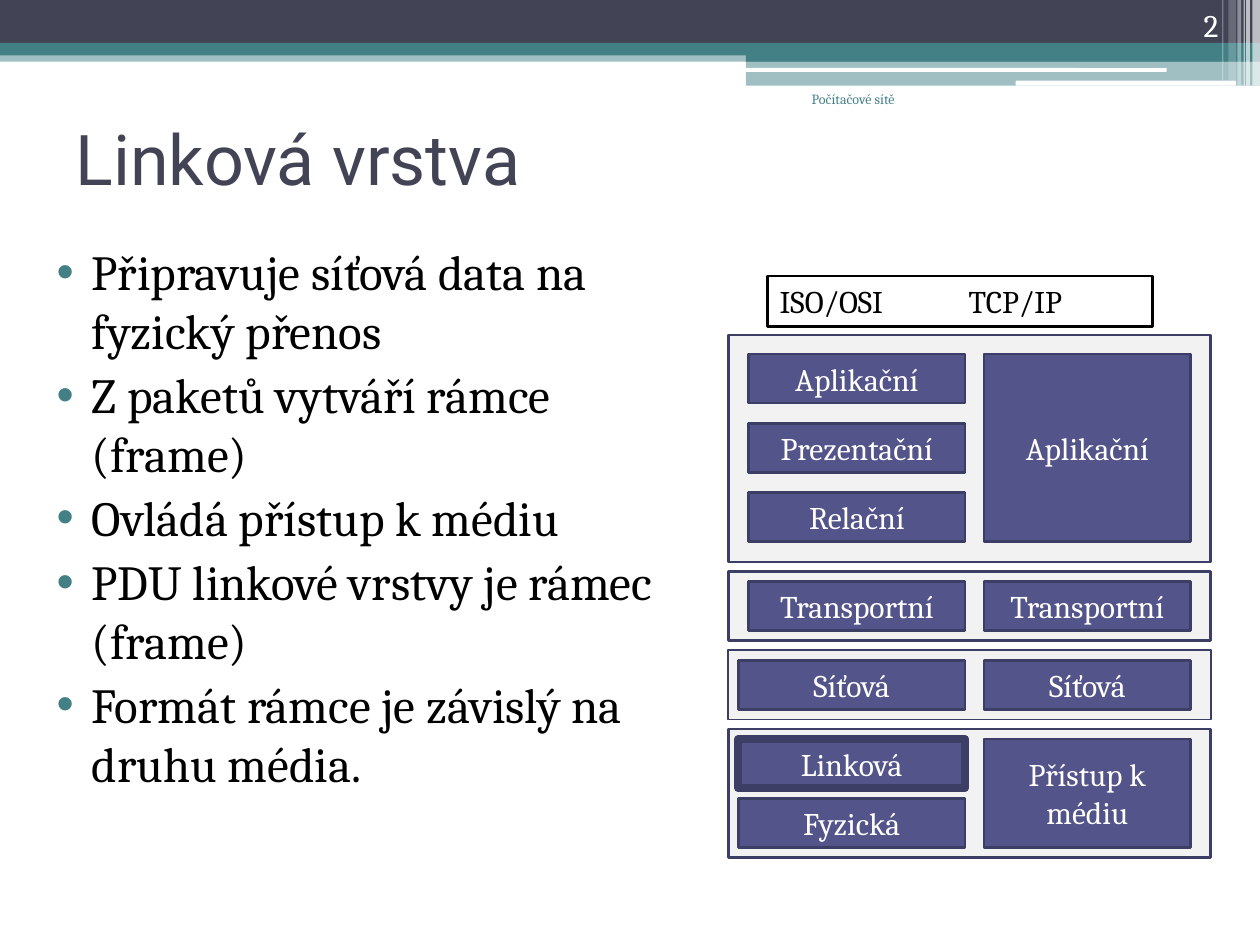
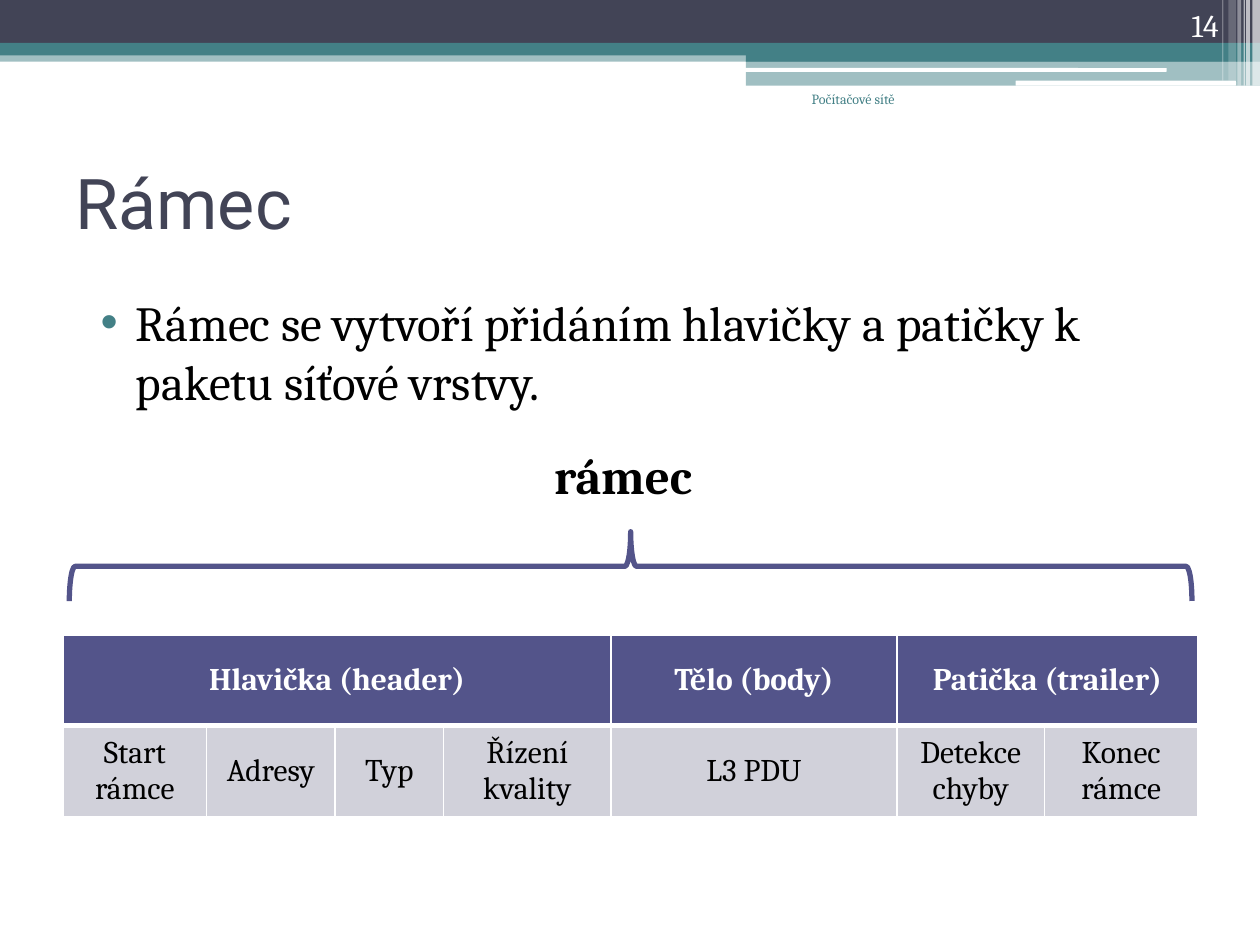
from dataclasses import dataclass

from lxml import etree
from pptx import Presentation
from pptx.dml.color import RGBColor
from pptx.enum.shapes import MSO_SHAPE
from pptx.enum.text import MSO_ANCHOR, PP_ALIGN
from pptx.oxml.ns import qn
from pptx.util import Inches, Pt

RECT, ROUNDED, BRACE = MSO_SHAPE.RECTANGLE, MSO_SHAPE.ROUNDED_RECTANGLE, MSO_SHAPE.LEFT_BRACE
LEFT, CENTER, RIGHT = PP_ALIGN.LEFT, PP_ALIGN.CENTER, PP_ALIGN.RIGHT
TOP, MIDDLE, BOTTOM = MSO_ANCHOR.TOP, MSO_ANCHOR.MIDDLE, MSO_ANCHOR.BOTTOM


@dataclass(frozen=True)
class Theme:
    heading_font: str = "Roboto"
    body_font: str = "Cambria"
    dark: str = "424456"
    teal: str = "438086"
    indigo: str = "53548A"
    outline: str = "3D3E66"
    panel: str = "F2F2F2"
    cell: str = "D1D1DA"
    white: str = "FFFFFF"
    black: str = "000000"
    title_size: int = 40
    body_size: int = 28
    label_size: int = 18
    footer_size: int = 8


THEME = Theme()

# Content
FOOTER = "Počítačové sítě"
LINK_LAYER = {
    "title": "Linková vrstva", "number": "2", "title_at": (0.5, 0.78, 9, 0.94),
    "points_at": (0.23, 1.87, 5.55, 5.47),
    "points": [
        "Připravuje síťová data na fyzický přenos",
        "Z paketů vytváří rámce (frame)",
        "Ovládá přístup k médiu",
        "PDU linkové vrstvy je rámec (frame)",
        "Formát rámce je závislý na druhu média.",
    ],
}
FRAME = {
    "title": "Rámec", "number": "14", "title_at": (0.5, 1.17, 9, 0.86),
    "points_at": (0.58, 2.27, 8.48, 1.25),
    "points": ["Rámec se vytvoří přidáním hlavičky a patičky k paketu síťové vrstvy."],
}
MODEL_NAMES = "ISO/OSI\t\tTCP/IP"
ACTIVE_LAYER = "Linková"
# OSI layers, TCP/IP layer, panel height, padding, row step, OSI left, panel line
LAYER_GROUPS = [
    (["Aplikační", "Prezentační", "Relační"], "Aplikační", 1.8, 0.15, 0.55, 5.94, 1.5),
    (["Transportní"], "Transportní", 0.55, 0.08, 0.47, 5.94, 1.5),
    (["Síťová"], "Síťová", 0.55, 0.08, 0.47, 5.86, 1),
    (["Linková", "Fyzická"], "Přístup k médiu", 1.02, 0.08, 0.47, 5.86, 1.5),
]
FRAME_LABEL = "rámec"
FRAME_PARTS = [
    ("Hlavička (header)",
     [("Start rámce", 1.14), ("Adresy", 1.02), ("Typ", 0.86), ("Řízení kvality", 1.33)]),
    ("Tělo (body)", [("L3 PDU", 2.27)]),
    ("Patička (trailer)", [("Detekce chyby", 1.17), ("Konec rámce", 1.22)]),
]
# Shared bands: shape, box, colour, opacity in percent
BANDS = [
    (RECT, (0, 0.4, 10, 0.09), THEME.teal, 50),
    (RECT, (0, 0, 10, 0.34), THEME.dark, 100),
    (RECT, (0, 0.34, 10, 0.1), THEME.teal, 100),
    (RECT, (5.92, 0.39, 4.08, 0.1), THEME.teal, 100),
    (RECT, (5.92, 0.48, 4.08, 0.2), THEME.teal, 50),
    (ROUNDED, (5.91, 0.54, 3.35, 0.03), THEME.white, 100),
    (ROUNDED, (8.06, 0.64, 1.75, 0.04), THEME.white, 100),
] + [
    (RECT, (left, 0, width, height), THEME.white, opacity)
    for left, width, height, opacity in [
        (9.94, 0.06, 0.68, 65), (9.89, 0.03, 0.68, 65), (9.87, 0.01, 0.68, 60),
        (9.82, 0.03, 0.68, 40), (9.75, 0.06, 0.64, 20), (9.7, 0.01, 0.64, 30)]
]


# Helpers
def rgb(color):
    return RGBColor.from_string(color)


def inches(box):
    return [Inches(value) for value in box]


def style(paragraph, size, color, align=LEFT, font=THEME.body_font, bold=False):
    paragraph.alignment = align
    paragraph.font.name = font
    paragraph.font.size = Pt(size)
    paragraph.font.bold = bold
    paragraph.font.color.rgb = rgb(color)


def add_shape(slide, kind, box, fill=None, line=None, line_width=1.5, opacity=100):
    shape = slide.shapes.add_shape(kind, *inches(box))
    shape.shadow.inherit = False
    if fill:
        shape.fill.solid()
        shape.fill.fore_color.rgb = rgb(fill)
        if opacity < 100:
            color = next(shape.element.iter(qn("a:srgbClr")))
            etree.SubElement(color, qn("a:alpha"), val=str(opacity * 1000))
    else:
        shape.fill.background()
    if line:
        shape.line.color.rgb = rgb(line)
        shape.line.width = Pt(line_width)
    else:
        shape.line.fill.background()
    return shape


def write(shape, text, size, color, align=LEFT, anchor=TOP, wrap=True, bold=False):
    frame = shape.text_frame
    frame.word_wrap = wrap
    frame.vertical_anchor = anchor
    frame.text = text
    style(frame.paragraphs[0], size, color, align, bold=bold)


def add_text(slide, box, *args, **kwargs):
    write(slide.shapes.add_textbox(*inches(box)), *args, **kwargs)


def add_points(slide, box, points):
    frame = slide.shapes.add_textbox(*inches(box)).text_frame
    frame.word_wrap = True
    for index, point in enumerate(points):
        paragraph = frame.add_paragraph() if index else frame.paragraphs[0]
        paragraph.text = point
        properties = paragraph._p.get_or_add_pPr()
        properties.set("marL", str(Inches(0.4)))
        properties.set("indent", str(Inches(-0.28)))
        bullet_color = etree.SubElement(properties, qn("a:buClr"))
        etree.SubElement(bullet_color, qn("a:srgbClr"), val=THEME.teal)
        etree.SubElement(properties, qn("a:buFont"), typeface="Arial")
        etree.SubElement(properties, qn("a:buChar"), char="•")
        paragraph.space_before = Pt(3)
        style(paragraph, THEME.body_size, THEME.black)


def add_slide(deck, content):
    slide = deck.slides.add_slide(deck.slide_layouts.get_by_name("Title Only"))
    for kind, box, color, opacity in BANDS:
        add_shape(slide, kind, box, color, opacity=opacity)
    title = slide.shapes.title
    title.left, title.top, title.width, title.height = inches(content["title_at"])
    title.text_frame.text = content["title"]
    title.text_frame.vertical_anchor = MIDDLE
    style(title.text_frame.paragraphs[0], THEME.title_size, THEME.dark,
          font=THEME.heading_font)
    add_points(slide, content["points_at"], content["points"])
    add_text(slide, (5.75, 0.67, 1.45, 0.5), FOOTER, THEME.footer_size, THEME.teal, RIGHT)
    add_text(slide, (8.94, 0, 0.83, 0.4), content["number"], THEME.label_size,
             THEME.white, RIGHT, BOTTOM)
    return slide


# Layer model: one panel per group, OSI on the left and TCP/IP on the right
def add_layer(slide, box, name, line_width=1.5):
    layer = add_shape(slide, RECT, box, THEME.indigo, THEME.outline, line_width)
    write(layer, name, THEME.label_size, THEME.white, CENTER, MIDDLE)


def add_layer_model(slide):
    panel_top, panel_gap, layer_height, osi_right = 2.66, 0.075, 0.39, 7.66
    for osi_names, tcp_name, height, padding, step, osi_left, line_width in LAYER_GROUPS:
        add_shape(slide, RECT, (5.78, panel_top, 3.83, height), THEME.panel,
                  THEME.outline, line_width)
        top = panel_top + padding
        for row, name in enumerate(osi_names):
            add_layer(slide, (osi_left, top + row * step, osi_right - osi_left, layer_height),
                      name, 4.5 if name == ACTIVE_LAYER else 1.5)
        tcp_height = (len(osi_names) - 1) * step + layer_height
        add_layer(slide, (7.81, top, 1.64, tcp_height), tcp_name)
        panel_top += height + panel_gap
    names = add_shape(slide, RECT, (6.09, 2.19, 3.06, 0.4), line=THEME.black)
    write(names, MODEL_NAMES, THEME.label_size, THEME.black, wrap=False)


# Frame table: part names above their fields
def fill_cell(cell, text, fill, color, bold, borders):
    write_cell = cell.text_frame
    write_cell.text = text
    style(write_cell.paragraphs[0], THEME.label_size, color, CENTER, bold=bold)
    cell.vertical_anchor = MIDDLE
    properties = cell._tc.get_or_add_tcPr()
    for side, width in zip("LRTB", borders):
        border = etree.SubElement(properties, qn(f"a:ln{side}"), w=str(Pt(width)))
        solid = etree.SubElement(border, qn("a:solidFill"))
        etree.SubElement(solid, qn("a:srgbClr"), val=THEME.white)
    cell.fill.solid()
    cell.fill.fore_color.rgb = rgb(fill)


def add_frame_table(slide):
    widths = [width for _, fields in FRAME_PARTS for _, width in fields]
    table = slide.shapes.add_table(2, len(widths), *inches((0.5, 5.04, 9, 1.44))).table
    for column, width in zip(table.columns, widths):
        column.width = Inches(width)
    start = 0
    for part, fields in FRAME_PARTS:
        for offset, (field, _) in enumerate(fields):
            fill_cell(table.cell(0, start + offset), "" if offset else part,
                      THEME.indigo, THEME.white, True, (1, 1, 1, 3))
            fill_cell(table.cell(1, start + offset), field,
                      THEME.cell, THEME.black, False, (1, 1, 3, 1))
        if len(fields) > 1:
            table.cell(0, start).merge(table.cell(0, start + len(fields) - 1))
        start += len(fields)


def main():
    deck = Presentation()
    deck.slide_width, deck.slide_height = Inches(10), Inches(7.5)

    add_layer_model(add_slide(deck, LINK_LAYER))

    frame_slide = add_slide(deck, FRAME)
    brace = add_shape(frame_slide, BRACE, (4.73, 0.04, 0.55, 8.91),
                      line=THEME.indigo, line_width=3)
    brace.rotation = 90
    add_text(frame_slide, (4.3, 3.49, 1.47, 0.57), FRAME_LABEL, THEME.body_size,
             THEME.black, wrap=False, bold=True)
    add_frame_table(frame_slide)

    deck.save("out.pptx")


if __name__ == "__main__":
    main()
